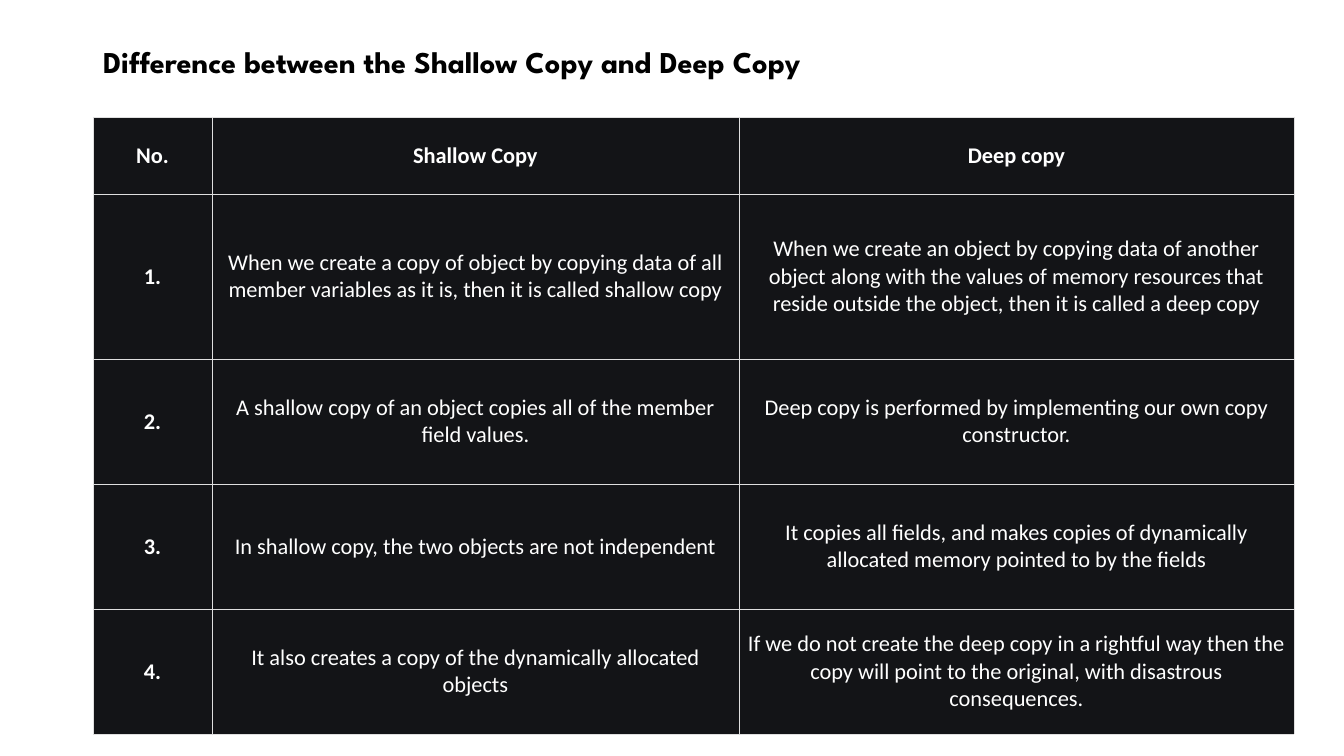
from dataclasses import dataclass

from pptx import Presentation
from pptx.dml.color import RGBColor as RGB
from pptx.enum.text import MSO_ANCHOR as Anchor, PP_ALIGN as Align
from pptx.oxml.ns import qn
from pptx.util import Pt
from lxml.etree import SubElement as Sub

EMU = 914400 / 100.8


def px(n):
    return round(n * EMU)


@dataclass(frozen=True)
class Theme:
    ink: str = "000000"
    dark: str = "131417"
    light: str = "FFFFFF"
    rule: str = "DFDFDF"
    line: float = 0.18
    head: float = 21.6
    body: float = 16
    display: str = "League Spartan"
    text: str = "Calibri"


class Deck:
    def __init__(self, theme, wide, high):
        self.theme = theme
        self.deck = Presentation()
        self.deck.slide_width, self.deck.slide_height = px(wide), px(high)
        self.slide = self.deck.slides.add_slide(self.deck.slide_layouts[5])

    def style(self, par, face, size, color, bold):
        for run in par.runs:
            font = run.font
            font.name, font.size, font.bold = face, Pt(size), bold
            font.color.rgb = RGB.from_string(color)

    def title(self, text, x, y, w, h):
        box = self.slide.shapes.title
        box.left, box.top, box.width, box.height = map(px, (x, y, w, h))
        frame = box.text_frame
        frame.text = text
        frame.word_wrap = True
        frame.vertical_anchor = Anchor.TOP
        frame.margin_top = px(7)
        par = frame.paragraphs[0]
        par.alignment = Align.LEFT
        par.line_spacing = 0.9
        t = self.theme
        self.style(par, t.display, t.head, t.ink, True)

    def border(self, cell):
        props = cell._tc.get_or_add_tcPr()
        for side in ("lnL", "lnR", "lnT", "lnB"):
            line = Sub(props, qn(f"a:{side}"), w=str(Pt(self.theme.line)))
            fill = Sub(line, qn("a:solidFill"))
            Sub(fill, qn("a:srgbClr"), val=self.theme.rule)

    def cell(self, cell, text, bold, side, edge):
        t = self.theme
        self.border(cell)
        cell.fill.solid()
        cell.fill.fore_color.rgb = RGB.from_string(t.dark)
        cell.margin_left = cell.margin_right = px(side)
        cell.margin_top = cell.margin_bottom = px(edge)
        cell.vertical_anchor = Anchor.MIDDLE
        cell.text_frame.text = text
        par = cell.text_frame.paragraphs[0]
        par.alignment = Align.CENTER
        self.style(par, t.text, t.body, t.light, bold)

    def table(self, rows, x, y, wides, highs):
        size = map(px, (x, y, sum(wides), sum(highs)))
        grid = self.slide.shapes.add_table(len(rows), len(wides), *size).table
        for col, wide in zip(grid.columns, wides):
            col.width = px(wide)
        for r, (row, high) in enumerate(zip(rows, highs)):
            grid.rows[r].height = px(high)
            for c, text in enumerate(row):
                side = 8 if c else 4
                edge = 8 if r == 0 else 12 if c else 6
                self.cell(grid.cell(r, c), text, r == 0 or c == 0, side, edge)

    def save(self):
        self.deck.save("out.pptx")


# Wording of the comparison
HEADS = ("No.", "Shallow Copy", "Deep copy")
PAIRS = [
    ("When we create a copy of object by copying data of all member variables "
     "as it is, then it is called shallow copy",
     "When we create an object by copying data of another object along with "
     "the values of memory resources that reside outside the object, then it "
     "is called a deep copy"),
    ("A shallow copy of an object copies all of the member field values.",
     "Deep copy is performed by implementing our own copy constructor."),
    ("In shallow copy, the two objects are not independent",
     "It copies all fields, and makes copies of dynamically allocated memory "
     "pointed to by the fields"),
    ("It also creates a copy of the dynamically allocated objects",
     "If we do not create the deep copy in a rightful way then the copy will "
     "point to the original, with disastrous consequences."),
]


def main():
    deck = Deck(Theme(), 1344, 756)
    # Heading
    deck.title("Difference between the Shallow Copy and Deep Copy",
               93, 40, 1159, 77)
    # Comparison table
    rows = [HEADS] + [(f"{n}.", *pair) for n, pair in enumerate(PAIRS, 1)]
    deck.table(rows, 93, 117, (119, 527, 555), (77, 165, 125, 125, 125))
    deck.save()


if __name__ == "__main__":
    main()
